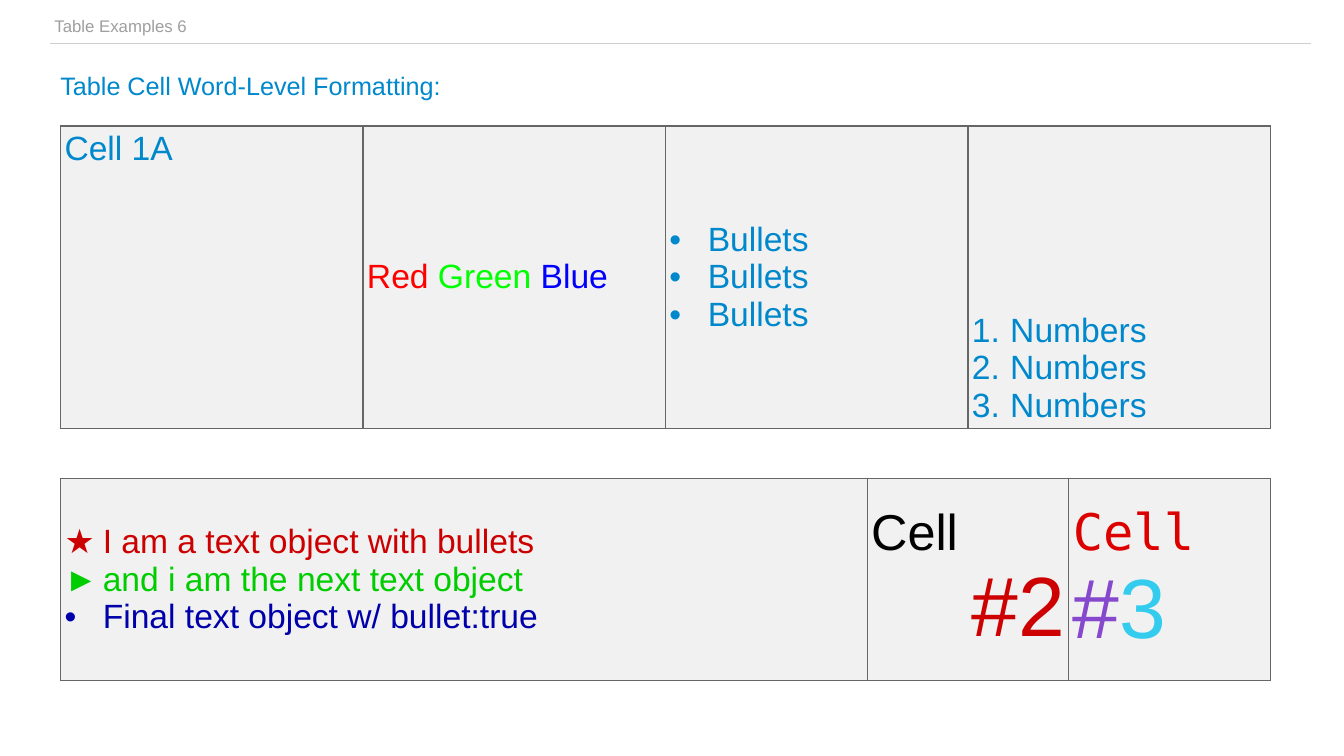
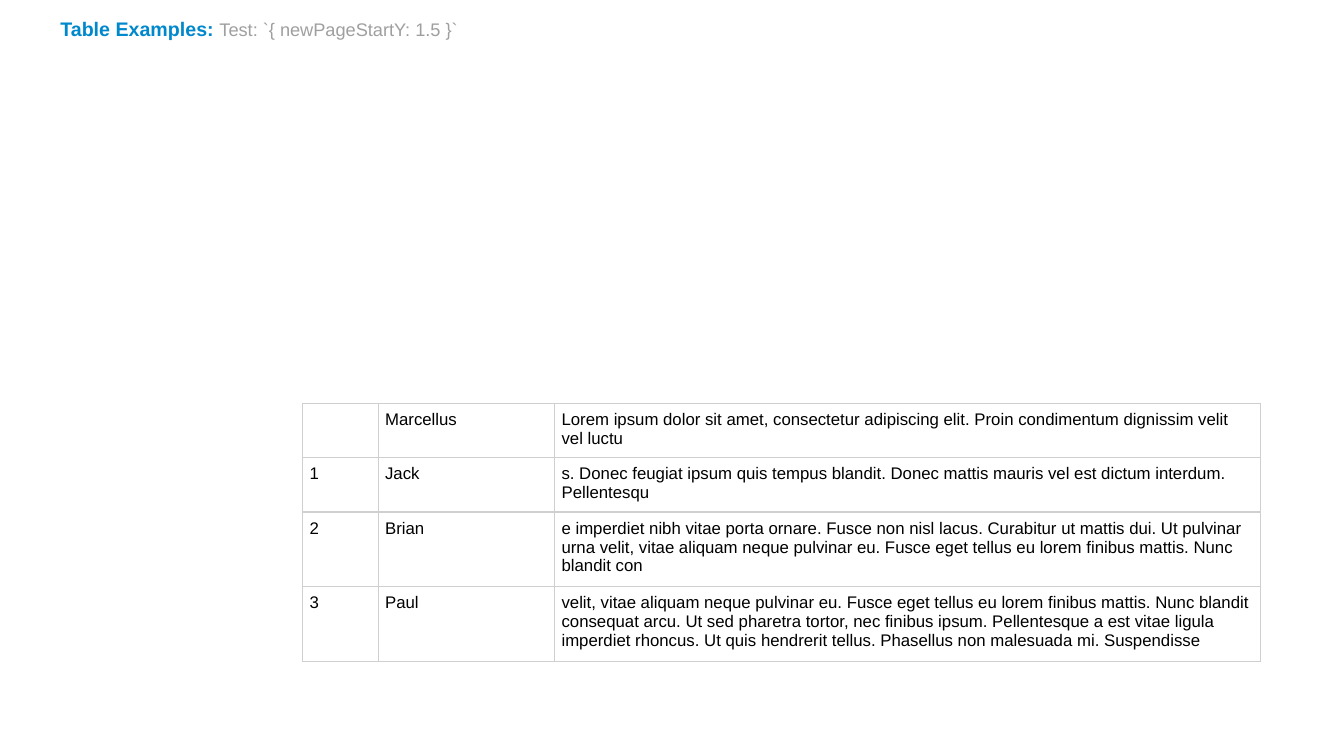
from dataclasses import dataclass
from typing import NamedTuple, Optional

from lxml.etree import SubElement
from pptx import Presentation
from pptx.dml.color import RGBColor
from pptx.enum.shapes import MSO_SHAPE as Shape
from pptx.enum.text import MSO_ANCHOR as Anchor, PP_ALIGN as Align
from pptx.oxml.ns import qn
from pptx.util import Inches, Pt


# Theme
@dataclass(frozen=True)
class Theme:
    sans: str = "Arial"
    mono: str = "DejaVu Sans Mono"
    white: str = "FFFFFF"
    black: str = "000000"
    accent: str = "0088CC"
    muted: str = "9F9F9F"
    rule: str = "CFCFCF"
    grid: str = "666666"
    panel: str = "F1F1F1"
    small: int = 12
    note: int = 13
    title: int = 14
    heading: int = 18
    body: int = 24
    large: int = 36
    huge: int = 60


THEME = Theme()
PLAIN_TABLE = "{2D5ABB26-0587-4C30-8999-92F81FD0307C}"
TITLE_LEFT, TITLE_TOP, TITLE_HEIGHT = 0.5, 0.13, 0.3
BULLET_INDENT = 0.38
NUMBERED = "1."
ALL_SIDES = "LRTB"


# Content types
class Span(NamedTuple):
    text: str
    color: str = THEME.accent
    size: int = THEME.body
    face: str = THEME.sans
    bold: bool = False
    break_after: bool = False


class Para(NamedTuple):
    spans: list[Span]
    bullet: Optional[str] = None
    align: Align = Align.LEFT


class CellText(NamedTuple):
    paras: list[Para]
    anchor: Anchor = Anchor.TOP


class Grid(NamedTuple):
    left: float
    top: float
    height: float
    columns: list[float]
    cells: list[list[CellText]]
    border: str
    sides: str = ALL_SIDES
    fill: Optional[str] = None
    margin: float = 0.04
    fit_rows: bool = False


# Text
def set_font(font, field: str, value) -> None:
    if field == "color":
        font.color.rgb = RGBColor.from_string(value)
    elif field == "size":
        font.size = Pt(value)
    elif field == "face":
        font.name = value
    else:
        font.bold = value


def add_bullet(paragraph, mark: str) -> None:
    properties = paragraph._p.get_or_add_pPr()
    properties.set("marL", str(Inches(BULLET_INDENT)))
    properties.set("indent", str(-Inches(BULLET_INDENT)))
    SubElement(properties, qn("a:buSzPct"), val="100000")
    SubElement(properties, qn("a:buFont"), typeface=THEME.sans)
    if mark == NUMBERED:
        SubElement(properties, qn("a:buAutoNum"), type="arabicPeriod")
    else:
        SubElement(properties, qn("a:buChar"), char=mark)


def write_text(frame, paras: list[Para]) -> None:
    for index, para in enumerate(paras):
        paragraph = frame.add_paragraph() if index else frame.paragraphs[0]
        paragraph.alignment = para.align
        if para.bullet:
            add_bullet(paragraph, para.bullet)
        runs = []
        for span in para.spans:
            run = paragraph.add_run()
            run.text = span.text
            runs.append(run)
            if span.break_after:
                paragraph.add_line_break()
        # Shared settings go on the paragraph, differing ones on the runs
        for field in ("size", "color", "face", "bold"):
            values = [getattr(span, field) for span in para.spans]
            if len(set(values)) == 1:
                set_font(paragraph.font, field, values[0])
            else:
                for run, value in zip(runs, values):
                    set_font(run.font, field, value)


def set_up_frame(box, paras: list[Para]) -> None:
    frame = box.text_frame
    frame.word_wrap = True
    frame.vertical_anchor = Anchor.MIDDLE
    write_text(frame, paras)


# Tables
def add_borders(cell, color: str, sides: str) -> None:
    properties = cell._tc.get_or_add_tcPr()
    for side in ALL_SIDES:
        line = SubElement(properties, qn(f"a:ln{side}"), w=str(Pt(1)))
        if side in sides:
            fill = SubElement(line, qn("a:solidFill"))
            SubElement(fill, qn("a:srgbClr"), val=color)
        else:
            SubElement(line, qn("a:noFill"))


def add_grid(page, grid: Grid) -> None:
    holder = page.shapes.add_table(
        len(grid.cells), len(grid.columns), Inches(grid.left), Inches(grid.top),
        Inches(sum(grid.columns)), Inches(grid.height))
    table = holder.table
    table.first_row = table.horz_banding = False
    table._tbl.tblPr.find(qn("a:tableStyleId")).text = PLAIN_TABLE
    for column, width in zip(table.columns, grid.columns):
        column.width = Inches(width)
    for row, contents in zip(table.rows, grid.cells):
        if grid.fit_rows:
            row.height = Inches(0)
        for cell, content in zip(row.cells, contents):
            add_borders(cell, grid.border, grid.sides)
            if grid.fill:
                cell.fill.solid()
                cell.fill.fore_color.rgb = RGBColor.from_string(grid.fill)
            else:
                cell.fill.background()
            cell.margin_left = cell.margin_right = Inches(grid.margin)
            cell.margin_top = cell.margin_bottom = Inches(grid.margin)
            cell.vertical_anchor = content.anchor
            write_text(cell.text_frame, content.paras)
    holder.height = Inches(grid.height)


def one_line(text: str, color: str, size: int) -> CellText:
    return CellText([Para([Span(text, color, size)])])


# Slide 1: formatting inside cells
def build_formatting(page) -> None:
    add_grid(page, Grid(
        TITLE_LEFT, TITLE_TOP, TITLE_HEIGHT, [12.5],
        [[one_line("Table Examples 6", THEME.muted, THEME.small)]],
        THEME.rule, sides="B"))

    heading = page.shapes.add_shape(
        Shape.RECTANGLE, Inches(0.5), Inches(0.7), Inches(4), Inches(0.3))
    heading.shadow.inherit = False
    heading.fill.solid()
    heading.fill.fore_color.rgb = RGBColor.from_string(THEME.white)
    heading.line.fill.background()
    set_up_frame(heading, [Para([
        Span("Table Cell Word-Level Formatting:", size=THEME.heading)])])

    words = [Span("Red ", "FF0000"), Span("Green ", "00FF00"),
             Span("Blue", "0000FF")]
    add_grid(page, Grid(
        0.6, 1.25, 3, [3] * 4,
        [[one_line("Cell 1A", THEME.accent, THEME.body),
          CellText([Para(words)], Anchor.MIDDLE),
          CellText([Para([Span("Bullets")], "•")] * 3, Anchor.MIDDLE),
          CellText([Para([Span("Numbers")], NUMBERED)] * 3, Anchor.BOTTOM)]],
        THEME.grid, fill=THEME.panel))

    bullets = [
        Para([Span("I am a text object with bullets", "CC0000")], "★"),
        Para([Span("and i am the next text object", "00CD00")], "►"),
        Para([Span("Final text object w/ bullet:true", "0000AB")], "•")]
    second = [
        Para([Span("Cell", THEME.black, THEME.large)]),
        Para([Span("#2", "CD0101", THEME.huge)], align=Align.RIGHT)]
    third = [Para([
        Span("Cell", "DD0000", THEME.large, THEME.mono, break_after=True),
        Span("#", "8648CD", THEME.huge),
        Span("3", "33CCEF", THEME.huge)])]
    add_grid(page, Grid(
        0.6, 4.75, 2, [8, 2, 2],
        [[CellText(paras, Anchor.MIDDLE) for paras in (bullets, second, third)]],
        THEME.grid, fill=THEME.panel))


# Slide 2: table continued from a page before
PEOPLE = [
    ("", "Marcellus",
     "Lorem ipsum dolor sit amet, consectetur adipiscing elit. Proin "
     "condimentum dignissim velit vel luctu"),
    ("1", "Jack",
     "s. Donec feugiat ipsum quis tempus blandit. Donec mattis mauris vel est "
     "dictum interdum. Pellentesqu"),
    ("2", "Brian",
     "e imperdiet nibh vitae porta ornare. Fusce non nisl lacus. Curabitur ut "
     "mattis dui. Ut pulvinar urna velit, vitae aliquam neque pulvinar eu. "
     "Fusce eget tellus eu lorem finibus mattis. Nunc blandit con"),
    ("3", "Paul",
     "velit, vitae aliquam neque pulvinar eu. Fusce eget tellus eu lorem "
     "finibus mattis. Nunc blandit consequat arcu. Ut sed pharetra tortor, nec "
     "finibus ipsum. Pellentesque a est vitae ligula imperdiet rhoncus. Ut quis "
     "hendrerit tellus. Phasellus non malesuada mi. Suspendisse"),
]


def build_continued(page) -> None:
    title = page.shapes.add_textbox(
        Inches(TITLE_LEFT), Inches(TITLE_TOP), Inches(12), Inches(TITLE_HEIGHT))
    set_up_frame(title, [Para([
        Span("Table Examples: ", size=THEME.title, bold=True),
        Span("Test: `{ newPageStartY: 1.5 }`", THEME.muted, THEME.note)])])

    add_grid(page, Grid(
        3, 4, 1, [0.75, 1.75, 7],
        [[one_line(text, THEME.black, THEME.small) for text in person]
         for person in PEOPLE],
        THEME.rule, margin=0.07, fit_rows=True))


def main() -> None:
    deck = Presentation()
    deck.slide_width, deck.slide_height = Inches(13.33), Inches(7.5)
    blank = deck.slide_layouts[6]
    for build in (build_formatting, build_continued):
        build(deck.slides.add_slide(blank))
    deck.save("out.pptx")


if __name__ == "__main__":
    main()
